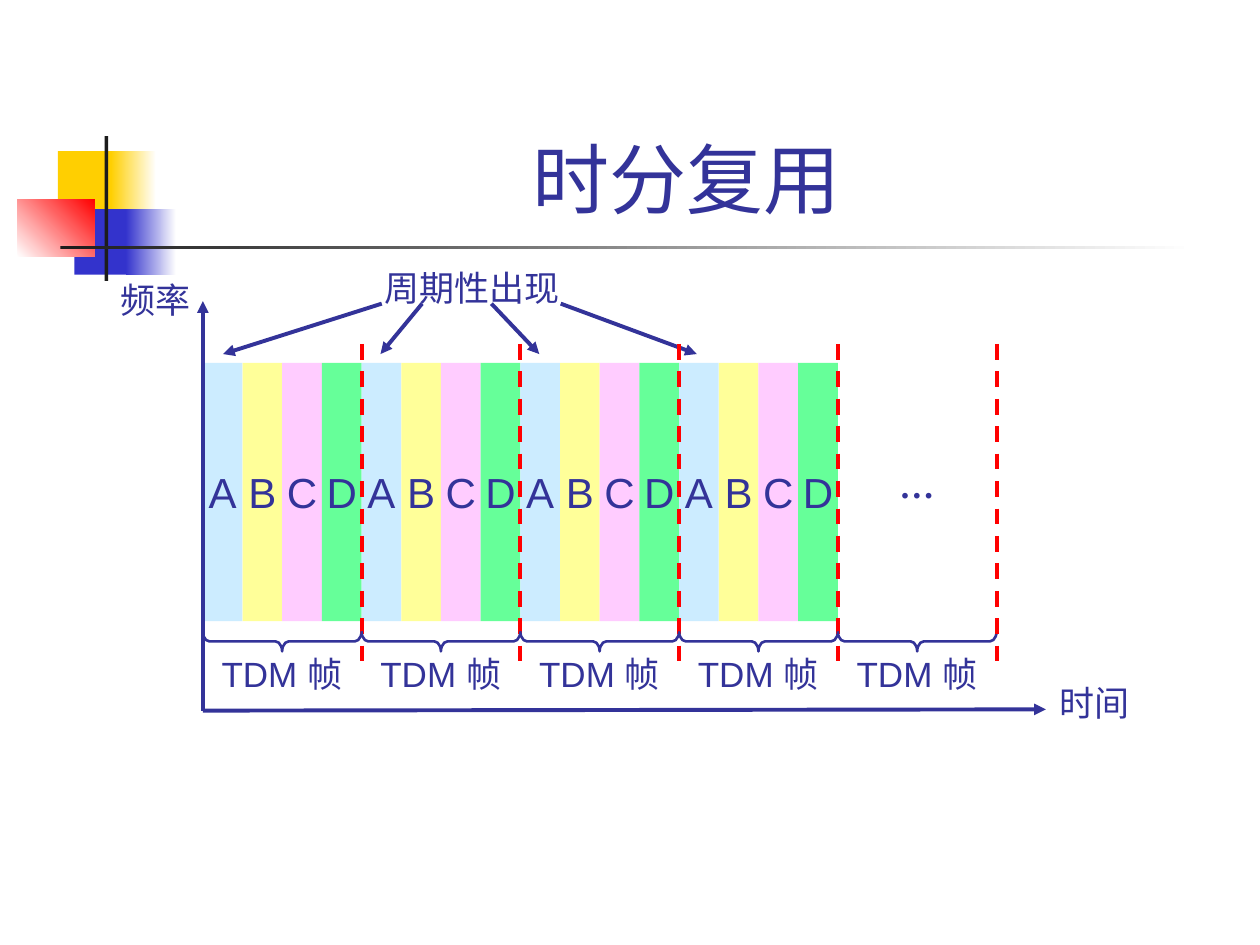
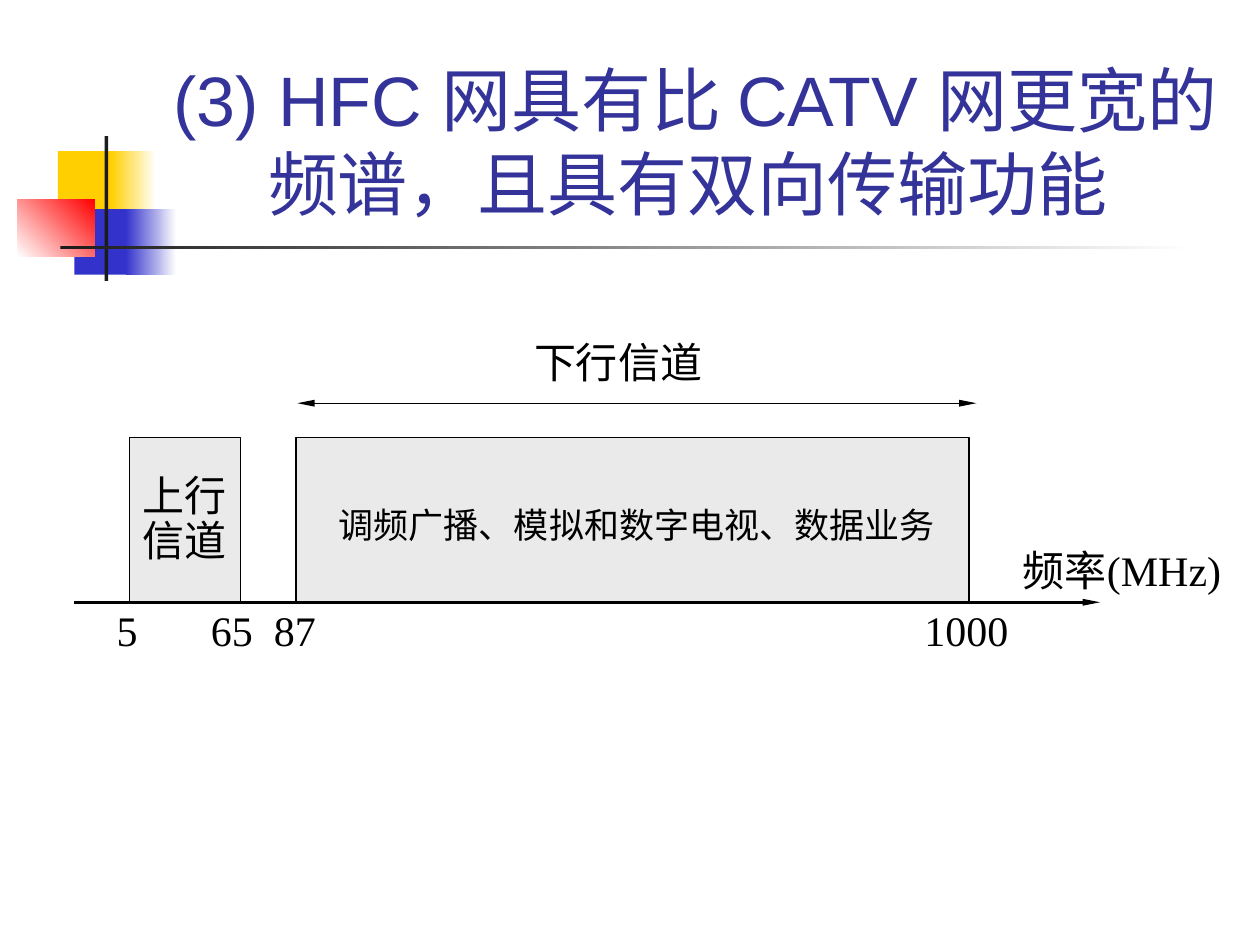
from dataclasses import dataclass

from lxml.etree import SubElement
from pptx import Presentation
from pptx.dml.color import RGBColor
from pptx.enum.dml import MSO_LINE
from pptx.enum.shapes import MSO_CONNECTOR, MSO_SHAPE
from pptx.enum.text import MSO_ANCHOR, MSO_AUTO_SIZE, PP_ALIGN
from pptx.oxml.ns import qn
from pptx.util import Inches, Pt


@dataclass(frozen=True)
class Theme:
    # Colours
    navy: str = "333399"
    blue: str = "3333CC"
    gold: str = "FFCF01"
    red: str = "FF0000"
    ink: str = "1C1C1C"
    black: str = "000000"
    white: str = "FFFFFF"
    band: str = "EAEAEA"
    slots: tuple = (("A", "CCECFF"), ("B", "FFFF99"), ("C", "FFCCFF"), ("D", "66FF99"))
    # Fonts, type sizes and line widths in points
    sans: str = "Arial"
    serif: str = "Times New Roman"
    title: int = 44
    long_title: int = 40
    large: int = 24
    small: int = 20
    hairline: float = 0.74
    medium: float = 1.5
    thick: float = 2.24


def set_all(obj, values):
    for name, value in values.items():
        setattr(obj, name, value)


class Deck:
    def __init__(self, theme):
        self.t = theme
        self.prs = Presentation()
        set_all(self.prs, {"slide_width": Inches(10), "slide_height": Inches(7.5)})
        self.layout = self.prs.slide_layouts[5]
        self.slide = None
        self.decorated = False

    def new_slide(self, title, size, top, height):
        self.slide = self.prs.slides.add_slide(self.layout)
        if not self.decorated:
            self.decorate_layout()
        sp = self.slide.shapes.title
        set_all(sp, {"left": Inches(1.26), "top": Inches(top),
                     "width": Inches(8.52), "height": Inches(height)})
        self.set_text(sp, title, size, self.t.navy, self.t.sans, align=PP_ALIGN.CENTER,
                      anchor=MSO_ANCHOR.BOTTOM, wrap=True)

    def decorate_layout(self):
        """Draw the corner squares and title rule, then hand them to the layout."""
        t = self.t
        parts = [
            self.box(0.46, 1.2, 0.48, 0.52, t.gold),
            self.box(0.88, 1.2, 0.36, 0.52, (t.gold, t.white)),
            self.box(0.59, 1.66, 0.46, 0.52, t.blue),
            self.box(1, 1.66, 0.4, 0.52, (t.blue, t.white)),
            self.box(0.14, 1.58, 0.61, 0.46, (t.white, t.red), angle=45),
            self.box(0.83, 1.08, 0.03, 1.15, t.ink),
            self.box(0.48, 1.95, 9, 0.03, (t.ink, t.white)),
        ]
        tree = self.layout.shapes.element
        for i, sp in enumerate(parts):
            tree.insert(2 + i, sp.element)
        self.decorated = True

    def paint(self, fill, colour, angle=0):
        """A pair of colours makes a gradient, one colour a solid fill."""
        if isinstance(colour, tuple):
            fill.gradient()
            fill.gradient_angle = angle
            for stop, rgb in zip(fill.gradient_stops, colour):
                stop.color.rgb = RGBColor.from_string(rgb)
        else:
            fill.solid()
            fill.fore_color.rgb = RGBColor.from_string(colour)

    def stroke(self, line, colour, width):
        line.color.rgb = RGBColor.from_string(colour)
        line.width = Pt(width)

    def shape(self, kind, x, y, w, h):
        sp = self.slide.shapes.add_shape(kind, Inches(x), Inches(y), Inches(w), Inches(h))
        sp.shadow.inherit = False
        return sp

    def box(self, x, y, w, h, fill, line=None, angle=0):
        sp = self.shape(MSO_SHAPE.RECTANGLE, x, y, w, h)
        self.paint(sp.fill, fill, angle)
        if line:
            self.stroke(sp.line, line, self.t.hairline)
        else:
            sp.line.fill.background()
        return sp

    def brace(self, x, y, length, depth):
        """A brace below the given span, its tip pointing down."""
        sp = self.shape(MSO_SHAPE.LEFT_BRACE, x + (length - depth) / 2,
                        y - (length - depth) / 2, depth, length)
        sp.rotation = 270
        sp.adjustments[0] = 0.33
        sp.fill.background()
        self.stroke(sp.line, self.t.navy, self.t.medium)

    def set_text(self, sp, text, size, colour, font, align=PP_ALIGN.LEFT,
                 anchor=MSO_ANCHOR.TOP, wrap=False, bold=False, spacing=None):
        tf = sp.text_frame
        set_all(tf, {"word_wrap": wrap, "vertical_anchor": anchor,
                     "auto_size": MSO_AUTO_SIZE.NONE})
        for i, line in enumerate(text.split("\n")):
            p = tf.add_paragraph() if i else tf.paragraphs[0]
            set_all(p, {"alignment": align, "line_spacing": spacing})
            r = p.add_run()
            r.text = line
            set_all(r.font, {"name": font, "size": Pt(size), "bold": bold})
            r.font.color.rgb = RGBColor.from_string(colour)

    def label(self, x, y, w, h, text, size, colour, font=None, **fmt):
        sp = self.slide.shapes.add_textbox(Inches(x), Inches(y), Inches(w), Inches(h))
        self.set_text(sp, text, size, colour, font or self.t.serif, **fmt)
        return sp

    def line(self, start, end, colour, width, ends=(), dash=None, head=("med", "med")):
        points = [Inches(v) for v in (*start, *end)]
        c = self.slide.shapes.add_connector(MSO_CONNECTOR.STRAIGHT, *points)
        self.stroke(c.line, colour, width)
        if dash:
            c.line.dash_style = dash
        sp_pr = c.element.spPr
        for tag in ends:
            SubElement(sp_pr.find(qn("a:ln")), qn(tag),
                       {"type": "triangle", "w": head[0], "len": head[1]})
        SubElement(sp_pr, qn("a:effectLst"))


HEAD, TAIL = "a:headEnd", "a:tailEnd"


def time_division(d):
    t = d.t
    d.new_slide("时分复用 ", t.title, 0.23, 1.6)
    left, frame, base = 1.61, 1.26, 5.64
    slot = frame / len(t.slots)
    full_frames, frames = 4, 5

    # Time axis and axis names
    d.line((left, base), (8.3, 5.63), t.navy, t.thick, [TAIL])
    d.label(0.86, 2.2, 0.75, 0.4, "频率", t.small, t.navy, spacing=0.9)
    d.label(8.31, 5.4, 0.75, 0.4, "时间", t.small, t.navy, spacing=0.9)

    # Time slots, the same four in each frame
    for i in range(full_frames):
        for j, (name, colour) in enumerate(t.slots):
            sp = d.box(left + i * frame + j * slot, 2.88, slot, 2.05, colour)
            d.set_text(sp, name, t.large, t.navy, t.sans, align=PP_ALIGN.CENTER,
                       anchor=MSO_ANCHOR.MIDDLE)

    # Arrows to the recurring slot
    for x1, x2 in ((3.03, 1.77), (3.35, 3.02), (3.9, 4.28), (4.45, 5.53)):
        d.line((x1, 2.41), (x2, 2.81), t.navy, t.thick, [TAIL])

    # Frequency axis
    d.line((left, base), (left, 2.39), t.navy, t.thick, [TAIL])

    # Frame names, braces and boundaries
    for i in range(frames):
        x = left + i * frame
        d.label(x + 0.05, 5.17, 1.22, 0.4, "TDM 帧", t.small, t.navy, t.sans, spacing=0.9)
        d.brace(x, 5.01, frame, 0.16)
        d.line((x + frame, 2.73), (x + frame, 5.32), t.red, t.thick, dash=MSO_LINE.DASH)

    d.label(7.04, 3.63, 0.48, 0.43, "…", t.small, t.navy, bold=True)
    d.label(2.95, 2.1, 1.59, 0.4, "周期性出现", t.small, t.navy, spacing=0.9)


def hfc_spectrum(d):
    t = d.t
    d.new_slide("(3) HFC 网具有比 CATV 网更宽的频谱，且具有双向传输功能 ",
                t.long_title, 0.91, 0.92)
    axis, top, height = 4.78, 3.47, 1.31
    slim = ("sm", "lg")

    # Downstream span
    d.line((2.36, 3.2), (7.75, 3.2), t.black, t.hairline, [HEAD, TAIL], head=slim)
    sp = d.label(4.14, 2.62, 1.53, 0.5, "下行信道", t.large, t.black)
    d.paint(sp.fill, t.white)

    # Upstream and downstream bands
    d.box(1.03, top, 0.88, height, t.band, t.black)
    d.label(1.03, 3.72, 0.86, 0.82, "上行\n信道", t.large, t.black, spacing=0.9)
    d.box(2.35, top, 5.34, height, t.band, t.black)
    d.label(2.59, 3.95, 4.93, 0.44, "调频广播、模拟和数字电视、数据业务", t.small, t.black)

    # Frequency axis with its band limits
    for centre, limit in ((1.01, "5"), (1.84, "65"), (2.34, "87"), (7.67, "1000")):
        d.label(centre - 0.45, 4.75, 0.9, 0.5, limit, t.large, t.black,
                align=PP_ALIGN.CENTER)
    d.label(8.02, 4.27, 1.85, 0.5, "频率(MHz)", t.large, t.black)
    d.line((0.59, axis), (8.73, axis), t.black, t.medium, [TAIL], head=slim)


deck = Deck(Theme())
time_division(deck)
hfc_spectrum(deck)
deck.prs.save("out.pptx")
